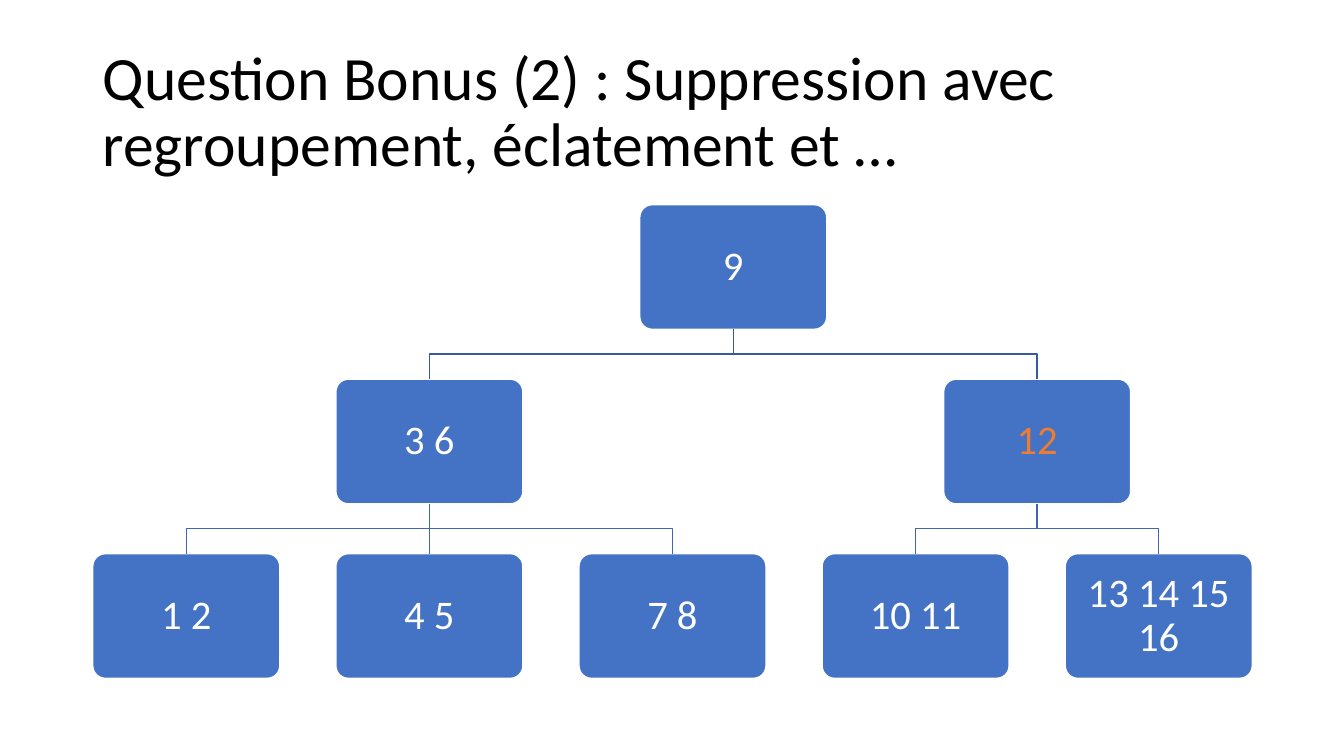
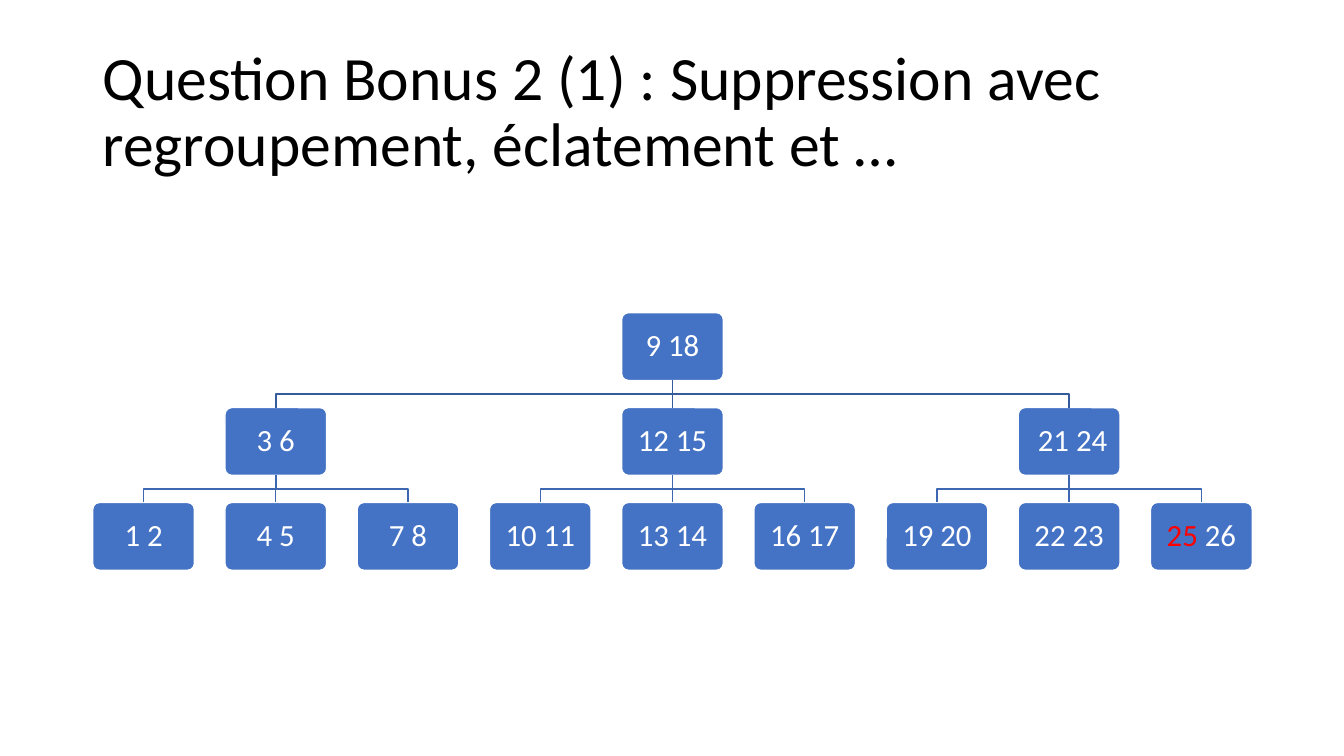
"""Build two slides that show B-trees for the deletion bonus questions."""
from dataclasses import dataclass

from pptx import Presentation
from pptx.dml.color import RGBColor
from pptx.enum.shapes import MSO_CONNECTOR, MSO_SHAPE
from pptx.enum.text import MSO_ANCHOR, PP_ALIGN
from pptx.oxml.xmlchemy import OxmlElement
from pptx.util import Inches, Pt

ROUNDED = MSO_SHAPE.ROUNDED_RECTANGLE
STRAIGHT = MSO_CONNECTOR.STRAIGHT
MIDDLE = MSO_ANCHOR.MIDDLE
LEFT = PP_ALIGN.LEFT
CENTER = PP_ALIGN.CENTER
TOP_SIDE, BOTTOM_SIDE = 0, 2


@dataclass(frozen=True)
class Theme:
    font: str = "Calibri"
    title_color: str = "000000"
    key_fill: str = "4472C4"
    key_text: str = "FFFFFF"
    key_border: str = "FFFFFF"
    orange: str = "ED7D31"
    red: str = "FF0000"
    branches: tuple = ("365B9D", "3E67B2")
    title_size: int = 44
    large_key: int = 29
    small_key: int = 22
    line_width: int = 1
    line_spacing: float = 0.9


@dataclass(frozen=True)
class Page:
    runs: tuple
    children: tuple = ()


THEME = Theme()
TREE_LEFT, TREE_WIDTH, TREE_MIDDLE = 0.92, 11.5, 4.38
GAP_RATIO, HEIGHT_RATIO, LEVEL_RATIO = 0.3, 2 / 3, 1.4


def page(keys, *children, color=THEME.key_text):
    return Page(((keys, color),), children)


def leaves(page_):
    return sum(map(leaves, page_.children)) or 1


def levels(page_):
    return 1 + max(map(levels, page_.children), default=0)


class Deck:
    def __init__(self, theme):
        self.theme = theme
        self.presentation = Presentation()
        self.presentation.slide_width = Inches(13.33)
        self.presentation.slide_height = Inches(7.5)
        self.slide = None

    def add_slide(self, title):
        blank = self.presentation.slide_layouts[6]
        self.slide = self.presentation.slides.add_slide(blank)
        heading = self.slide.shapes.add_textbox(
            Inches(0.92), Inches(0.4), Inches(11.5), Inches(1.45))
        runs = ((title, self.theme.title_color),)
        self.fill_text(heading, runs, self.theme.title_size, LEFT)

    def fill_text(self, shape, runs, size, alignment, **margins):
        frame = shape.text_frame
        frame_format = {"word_wrap": True, "vertical_anchor": MIDDLE, **margins}
        for name, value in frame_format.items():
            setattr(frame, name, value)
        paragraph = frame.paragraphs[0]
        paragraph.alignment = alignment
        paragraph.line_spacing = self.theme.line_spacing
        for text, color in runs:
            run = paragraph.add_run()
            run.text = text
            run_format = {"name": self.theme.font, "size": Pt(size)}
            for name, value in run_format.items():
                setattr(run.font, name, value)
            run.font.color.rgb = RGBColor.from_string(color)

    def stroke(self, shape, color):
        shape.line.color.rgb = RGBColor.from_string(color)
        shape.line.width = Pt(self.theme.line_width)

    def key_box(self, runs, center, top, width, size):
        box = self.slide.shapes.add_shape(
            ROUNDED, Inches(center - width / 2), Inches(top),
            Inches(width), Inches(width * HEIGHT_RATIO))
        box.adjustments[0] = 0.1
        box.shadow.inherit = False
        box.fill.solid()
        box.fill.fore_color.rgb = RGBColor.from_string(self.theme.key_fill)
        self.stroke(box, self.theme.key_border)
        sides = ("left", "top", "right", "bottom")
        margins = {f"margin_{side}": Pt(size * 0.3) for side in sides}
        self.fill_text(box, runs, size, CENTER, **margins)
        return box

    def branch(self, parent, child, color):
        start_x, end_x = (box.left + box.width // 2 for box in (parent, child))
        start_y, end_y = parent.top + parent.height, child.top
        if abs(start_x - end_x) < Inches(0.01):
            link = self.slide.shapes.add_connector(
                STRAIGHT, start_x, start_y, end_x, end_y)
            link.begin_connect(parent, BOTTOM_SIDE)
            link.end_connect(child, TOP_SIDE)
            self.stroke(link, color)
            link._element.spPr.append(OxmlElement("a:effectLst"))
            return
        bend_y = (start_y + end_y) // 2
        outline = self.slide.shapes.build_freeform(start_x, start_y)
        outline.add_line_segments(
            [(start_x, bend_y), (end_x, bend_y), (end_x, end_y)], close=False)
        elbow = outline.convert_to_shape()
        elbow.fill.background()
        elbow.shadow.inherit = False
        self.stroke(elbow, color)

    def tree(self, root, size):
        count = leaves(root)
        width = TREE_WIDTH / (count + GAP_RATIO * (count - 1))
        height = width * HEIGHT_RATIO
        step = width * (1 + GAP_RATIO)
        total = height * (1 + LEVEL_RATIO * (levels(root) - 1))
        tree_top = TREE_MIDDLE - total / 2

        def place(page_, depth, first_leaf):
            boxes, centers, leaf = [], [], first_leaf
            for child in page_.children:
                child_box, child_center = place(child, depth + 1, leaf)
                boxes.append(child_box)
                centers.append(child_center)
                leaf += leaves(child)
            if centers:
                center = (centers[0] + centers[-1]) / 2
            else:
                center = TREE_LEFT + width / 2 + first_leaf * step
            top = tree_top + depth * LEVEL_RATIO * height
            box = self.key_box(page_.runs, center, top, width, size)
            for child_box in boxes:
                self.branch(box, child_box, self.theme.branches[depth])
            return box, center

        place(root, 0, 0)


def main():
    deck = Deck(THEME)

    deck.add_slide("Question Bonus (2) : Suppression avec regroupement, éclatement et …")
    deck.tree(
        page("9",
             page("3 6", page("1 2"), page("4 5"), page("7 8")),
             page("12", page("10 11"), page("13 14 15 16"), color=THEME.orange)),
        THEME.large_key)

    deck.add_slide("Question Bonus 2 (1) : Suppression avec regroupement, éclatement et …")
    deleted_key = Page((("25", THEME.red), (" 26", THEME.key_text)))
    deck.tree(
        page("9 18",
             page("3 6", page("1 2"), page("4 5"), page("7 8")),
             page("12 15", page("10 11"), page("13 14"), page("16 17")),
             page(" 21 24", page("19 20"), page("22 23"), deleted_key)),
        THEME.small_key)

    deck.presentation.save("out.pptx")


if __name__ == "__main__":
    main()
